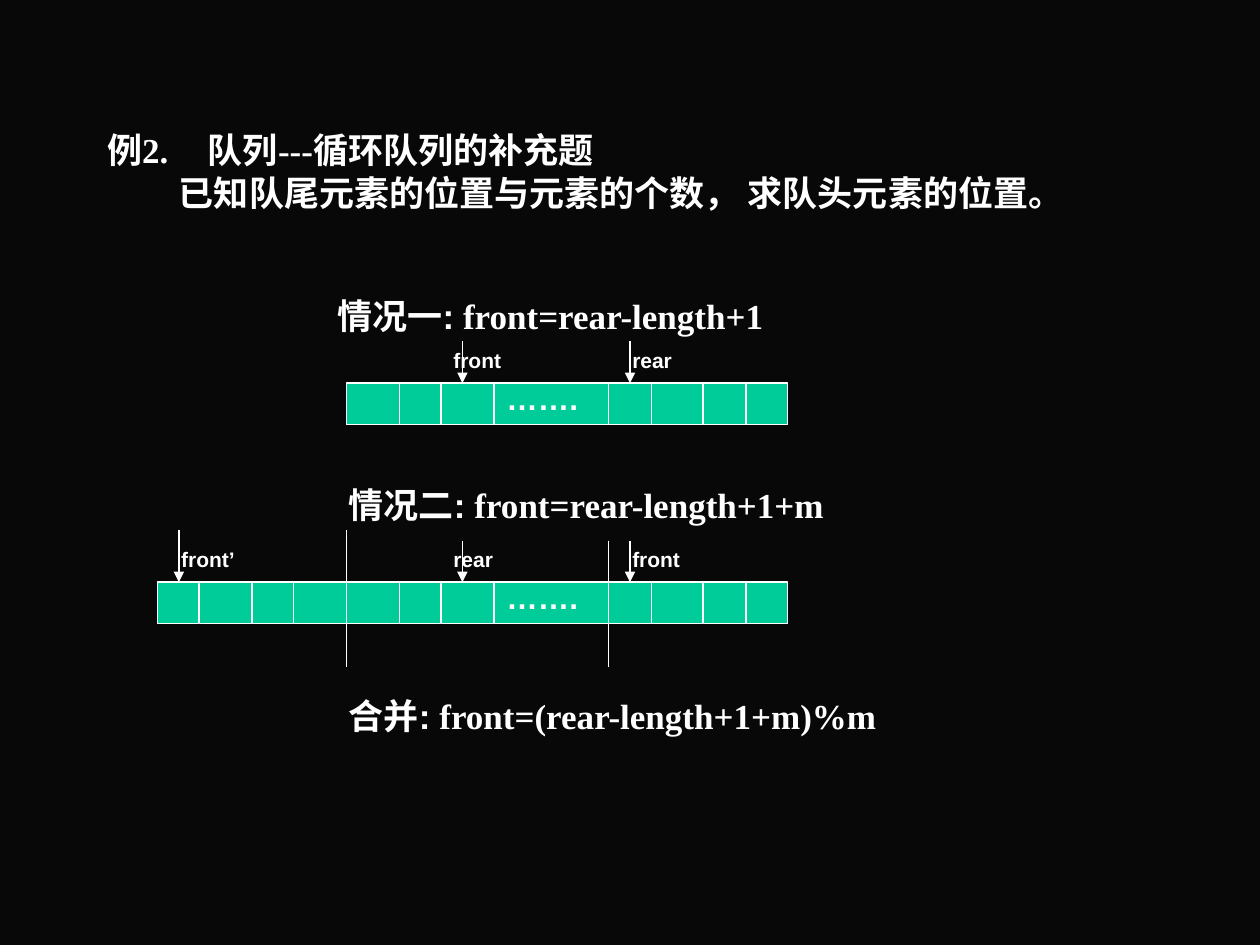
from lxml import etree
from pptx import Presentation, util as u
from pptx.dml.color import RGBColor
from pptx.enum import shapes, text
from pptx.oxml.ns import qn

WHITE, GREEN, BLACK = "FFFFFF", "00CC99", "080808"
SERIF, SANS = "Times New Roman", "Arial"
CELL_H = 0.33
ARROW_H = 0.33
MAIN_LEFT, MAIN_WIDTH = 2.75, 3.5
MAIN_DIVIDERS = (3.17, 3.5, 3.92, 4.83, 5.17, 5.58, 5.92)


def rgb(value):
    return RGBColor.from_string(value)


class QueueSlide:
    """Holds the style and the current slide."""

    def __init__(self, prs):
        self.s = prs.slides.add_slide(prs.slide_layouts[5])
        self.s.background.fill.solid()
        self.s.background.fill.fore_color.rgb = rgb(BLACK)

    def run(self, p, words, size, font):
        r = p.add_run()
        r.text = words
        r.font.size = u.Pt(size)
        r.font.name = font
        r.font.bold = True
        r.font.color.rgb = rgb(WHITE)

    def title(self, first, second):
        sp = self.s.shapes.title
        sp.left, sp.top = u.Inches(0.75), u.Inches(0.67)
        sp.width, sp.height = u.Inches(8.5), u.Inches(1.25)
        tf = sp.text_frame
        tf.word_wrap = True
        tf.auto_size = text.MSO_AUTO_SIZE.NONE
        tf.vertical_anchor = text.MSO_ANCHOR.MIDDLE
        tf.margin_top = u.Inches(0.16)
        for p, words in ((tf.paragraphs[0], first), (tf.add_paragraph(), second)):
            p.alignment = text.PP_ALIGN.LEFT
            p.line_spacing = u.Pt(25)
            self.run(p, words, 20, SERIF)
        tabs = etree.SubElement(tf.paragraphs[0]._p.get_or_add_pPr(), qn("a:tabLst"))
        etree.SubElement(tabs, qn("a:tab"), pos=str(u.Inches(0.8)), algn="l")
        tf.paragraphs[1]._p.get_or_add_pPr().set("marL", str(u.Inches(0.57)))

    def label(self, x, y, w, h, size, *runs):
        """Add a text box; each run is a pair of words and font."""
        sp = self.s.shapes.add_textbox(*map(u.Inches, (x, y, w, h)))
        tf = sp.text_frame
        tf.word_wrap = True
        for words, font in runs:
            self.run(tf.paragraphs[0], words, size, font)

    def bar(self, x, y, w):
        sp = self.s.shapes.add_shape(
            shapes.MSO_SHAPE.RECTANGLE, *map(u.Inches, (x, y, w, CELL_H)))
        sp.shadow.inherit = False
        sp.fill.solid()
        sp.fill.fore_color.rgb = rgb(GREEN)
        sp.line.color.rgb = rgb(WHITE)
        sp.line.width = u.Pt(0.75)
        return sp

    def vertical(self, x, top, bottom, arrow=False):
        line = self.s.shapes.add_connector(
            shapes.MSO_CONNECTOR.STRAIGHT, *map(u.Inches, (x, top, x, bottom)))
        line.line.color.rgb = rgb(WHITE)
        line.line.width = u.Pt(0.75)
        if arrow:
            etree.SubElement(line.line._get_or_add_ln(), qn("a:tailEnd"), type="triangle")
        etree.SubElement(line._element.spPr, qn("a:effectLst"))
        return line

    def cells(self, x, y, w, dividers):
        """Draw a bar and split it into cells at the given positions."""
        bar = self.bar(x, y, w)
        for div in dividers:
            line = self.vertical(div, y, y + CELL_H)
            if abs(div - (x + w / 2)) < 0.01:
                line.begin_connect(bar, 0)
                line.end_connect(bar, 2)

    def pointer(self, x, y, name, height=ARROW_H):
        """Point at the bar top y and name the position."""
        self.vertical(x, y - height, y, arrow=True)
        self.label(x - 0.08 if x != 3.67 else 3.5, y - ARROW_H, 0.67, 0.3, 12, (name, SANS))

    def queue(self, y, left_name, right_name):
        self.cells(MAIN_LEFT, y, MAIN_WIDTH, MAIN_DIVIDERS)
        self.label(3.92, y - 0.08, 0.92, 0.4, 18, ("…….", SANS))
        self.pointer(3.67, y, left_name)
        self.pointer(5, y, right_name)

    def formula(self, x, y, w, case, rule):
        self.label(x, y, w, 0.44, 20, (case, SANS), (rule, SERIF))


def main():
    prs = Presentation()
    prs.slide_width, prs.slide_height = u.Inches(10), u.Inches(7.5)
    s = QueueSlide(prs)
    s.title("例2.\t队列---循环队列的补充题",
            "已知队尾元素的位置与元素的个数， 求队头元素的位置。")

    s.queue(3.04, "front", "rear")
    s.formula(2.58, 2.29, 4.33, "情况一:", " front=rear-length+1")

    wrapped_y = 4.62
    s.queue(wrapped_y, "rear", "front")
    s.formula(2.67, 3.79, 4.33, "情况二:", " front=rear-length+1+m")
    s.formula(2.67, 5.46, 4.91, "合并:", " front=(rear-length+1+m)%m")
    s.cells(1.25, wrapped_y, 1.5, (1.58, 2, 2.33))
    s.vertical(MAIN_LEFT, 4.21, 5.29)
    s.vertical(4.83, 4.29, 5.29)
    s.pointer(1.42, wrapped_y, "front’", height=0.41)

    prs.save("out.pptx")


if __name__ == "__main__":
    main()
